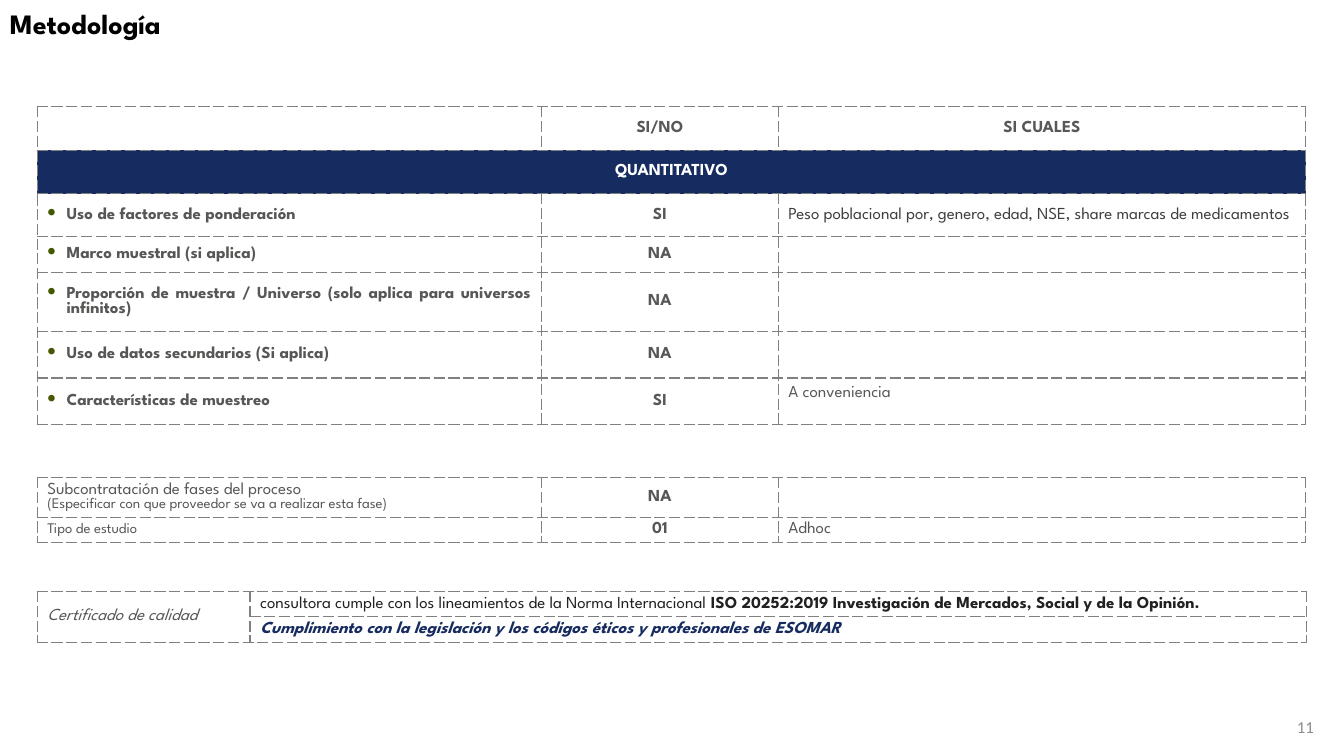
from lxml import etree
from pptx import Presentation
from pptx.dml.color import RGBColor
from pptx.enum.text import MSO_ANCHOR as Anchor, PP_ALIGN as Align
from pptx.oxml.ns import qn
from pptx.util import Inches, Pt

FONT = "League Spartan"
GREY, NAVY, DARK, WHITE = "575756", "162B60", "212121", "FFFFFF"
BORDER, BULLET = "808080", "455701"
LEFT = 0.37

# Paragraph styles: differences from 12 pt justified grey text
STYLES = {
    "head": dict(align=Align.CENTER, bold=True),
    "band": dict(align=Align.CENTER, bold=True, color=WHITE, fill=NAVY),
    "item": dict(bold=True, bullet=True, fill=WHITE),
    "answer": dict(align=Align.CENTER, bold=True, fill=WHITE),
    "label": dict(fill=WHITE),
    "small": dict(size=10.5, fill=WHITE),
    "detail": dict(color="3E3E3E"),
    "plain": dict(),
    "top": dict(align=Align.LEFT, spacing=1.2, anchor=Anchor.TOP, margin=0.05),
    "quality": dict(italic=True, fill=WHITE),
    "norm": dict(color=DARK),
    "ethics": dict(color=NAVY, bold=True, italic=True),
}

# A cell is a list of (style, text, bold ending) paragraphs
def cell_of(style, text, ending=""):
    return [(style, text, ending)]


def question(text, answer, detail=()):
    return [cell_of("item", text), cell_of("answer", answer), detail]


COLUMNS = [5, 2.35, 5.23]
TABLES = [
    dict(top=1.06, cols=COLUMNS, heights=[0.43, 0.43, 0.43, 0.35, 0.59, 0.46, 0.46],
         merge=((1, 0), (1, 2)), rows=[
        [(), cell_of("head", "SI/NO"), cell_of("head", "SI CUALES")],
        [cell_of("band", "QUANTITATIVO"), (), ()],
        question("Uso de factores de ponderación", "SI", cell_of(
            "detail", "Peso poblacional por, genero, edad, NSE, share marcas de medicamentos")),
        question("Marco muestral (si aplica)", "NA"),
        question("Proporción de muestra / Universo (solo aplica para universos infinitos)", "NA"),
        question("Uso de datos secundarios (Si aplica)", "NA"),
        question("Características de muestreo", "SI", cell_of("top", "A conveniencia")),
    ]),
    dict(top=4.74, cols=COLUMNS, heights=[0.39, 0.25], merge=None, rows=[
        [[("label", "Subcontratación de fases del proceso", ""),
          ("small", "(Especificar con que proveedor se va a realizar esta fase)", "")],
         cell_of("answer", "NA"), ()],
        [cell_of("small", "Tipo de estudio"), cell_of("answer", "01"), cell_of("plain", "Adhoc")],
    ]),
    dict(top=5.87, cols=[2.11, 10.48], heights=[0.25, 0.25], merge=((0, 0), (1, 0)), rows=[
        [cell_of("quality", "Certificado de calidad"),
         cell_of("norm", "consultora cumple con los lineamientos de la Norma Internacional ",
                 "ISO 20252:2019 Investigación de Mercados, Social y de la Opinión.")],
        [(), cell_of("ethics", "Cumplimiento con la legislación y los códigos éticos "
                               "y profesionales de ESOMAR")],
    ]),
]


def rgb(value):
    return RGBColor.from_string(value)


def add_xml(parent, tag, **attrs):
    return etree.SubElement(parent, qn(tag), attrs)


def set_font(font, size, color, name=FONT, bold=False, italic=False):
    font.name, font.size, font.bold, font.italic = name, Pt(size), bold, italic
    font.color.rgb = rgb(color)


def add_bullet(p):
    pPr = p._p.get_or_add_pPr()
    pPr.set("marL", str(Inches(0.19)))
    pPr.set("indent", str(-Inches(0.19)))
    add_xml(add_xml(pPr, "a:buClr"), "a:srgbClr", val=BULLET)
    add_xml(pPr, "a:buSzPct", val="150000")
    add_xml(pPr, "a:buChar", char="•")


def add_borders(cell):
    tcPr = cell._tc.get_or_add_tcPr()
    for side in "LRTB":
        ln = add_xml(tcPr, f"a:ln{side}", w=str(Pt(1)))
        add_xml(add_xml(ln, "a:solidFill"), "a:srgbClr", val=BORDER)
        add_xml(ln, "a:prstDash", val="sysDash")


def fill_cell(cell, paragraphs):
    style = STYLES[paragraphs[0][0]] if paragraphs else {}
    add_borders(cell)
    if "fill" in style:
        cell.fill.solid()
        cell.fill.fore_color.rgb = rgb(style["fill"])
    else:
        cell.fill.background()
    cell.margin_left = cell.margin_right = Inches(0.1)
    cell.margin_top = cell.margin_bottom = Inches(style.get("margin", 0))
    cell.vertical_anchor = style.get("anchor", Anchor.MIDDLE)
    tf = cell.text_frame
    for i, (name, text, ending) in enumerate(paragraphs):
        look = STYLES[name]
        p = tf.add_paragraph() if i else tf.paragraphs[0]
        p.alignment = look.get("align", Align.JUSTIFY)
        if "spacing" in look:
            p.line_spacing = look["spacing"]
        if "bullet" in look:
            add_bullet(p)
        set_font(p.font, look.get("size", 12), look.get("color", GREY),
                 bold=look.get("bold", False), italic=look.get("italic", False))
        p.add_run().text = text
        if ending:
            r = p.add_run()
            r.text = ending
            r.font.bold = True


def add_grid(s, top, cols, heights, merge, rows):
    table = s.shapes.add_table(len(rows), len(cols), Inches(LEFT), Inches(top),
                               Inches(sum(cols)), Inches(sum(heights))).table
    table.first_row = table.horz_banding = False
    for column, width in zip(table.columns, cols):
        column.width = Inches(width)
    for row, height, contents in zip(table.rows, heights, rows):
        row.height = Inches(height)
        for cell, paragraphs in zip(row.cells, contents):
            fill_cell(cell, paragraphs)
    if merge:
        first, last = merge
        table.cell(*first).merge(table.cell(*last))


def add_text(s, box, text, align, anchor, **font):
    tf = s.shapes.add_textbox(*map(Inches, box)).text_frame
    tf.word_wrap = True
    tf.vertical_anchor = anchor
    p = tf.paragraphs[0]
    p.text, p.alignment = text, align
    set_font(p.font, **font)


def main():
    prs = Presentation()
    prs.slide_width, prs.slide_height = Inches(13.33), Inches(7.5)
    s = prs.slides.add_slide(prs.slide_layouts[6])
    add_text(s, (10.13, 7.01, 3, 0.4), "11", Align.RIGHT, Anchor.MIDDLE,
             size=12, color="8C8C8C", name="Calibri")
    for table in TABLES:
        add_grid(s, **table)
    add_text(s, (0, 0.02, 3.83, 0.44), "Metodología", Align.LEFT, Anchor.TOP,
             size=20, color="000000", bold=True)
    prs.save("out.pptx")


if __name__ == "__main__":
    main()
